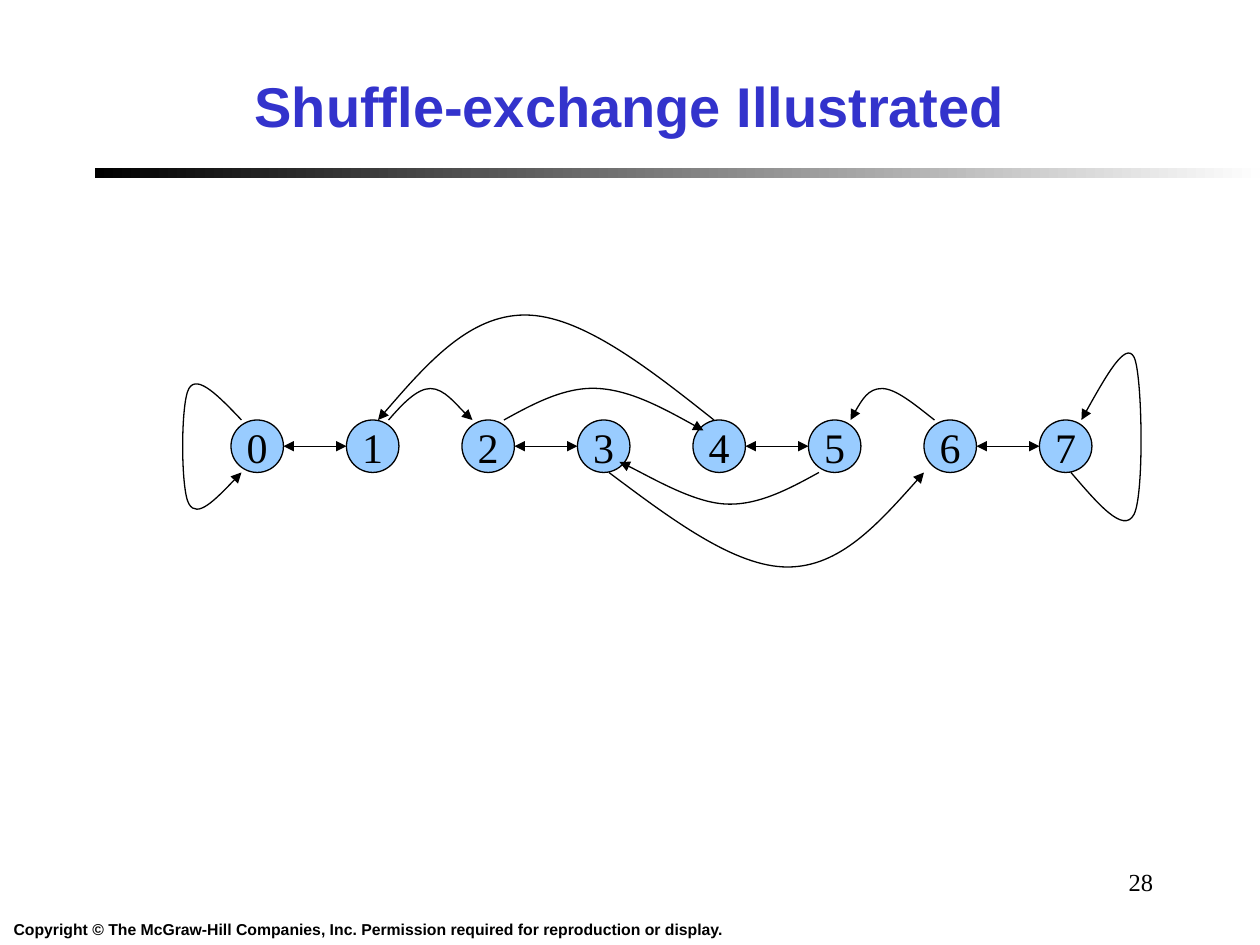
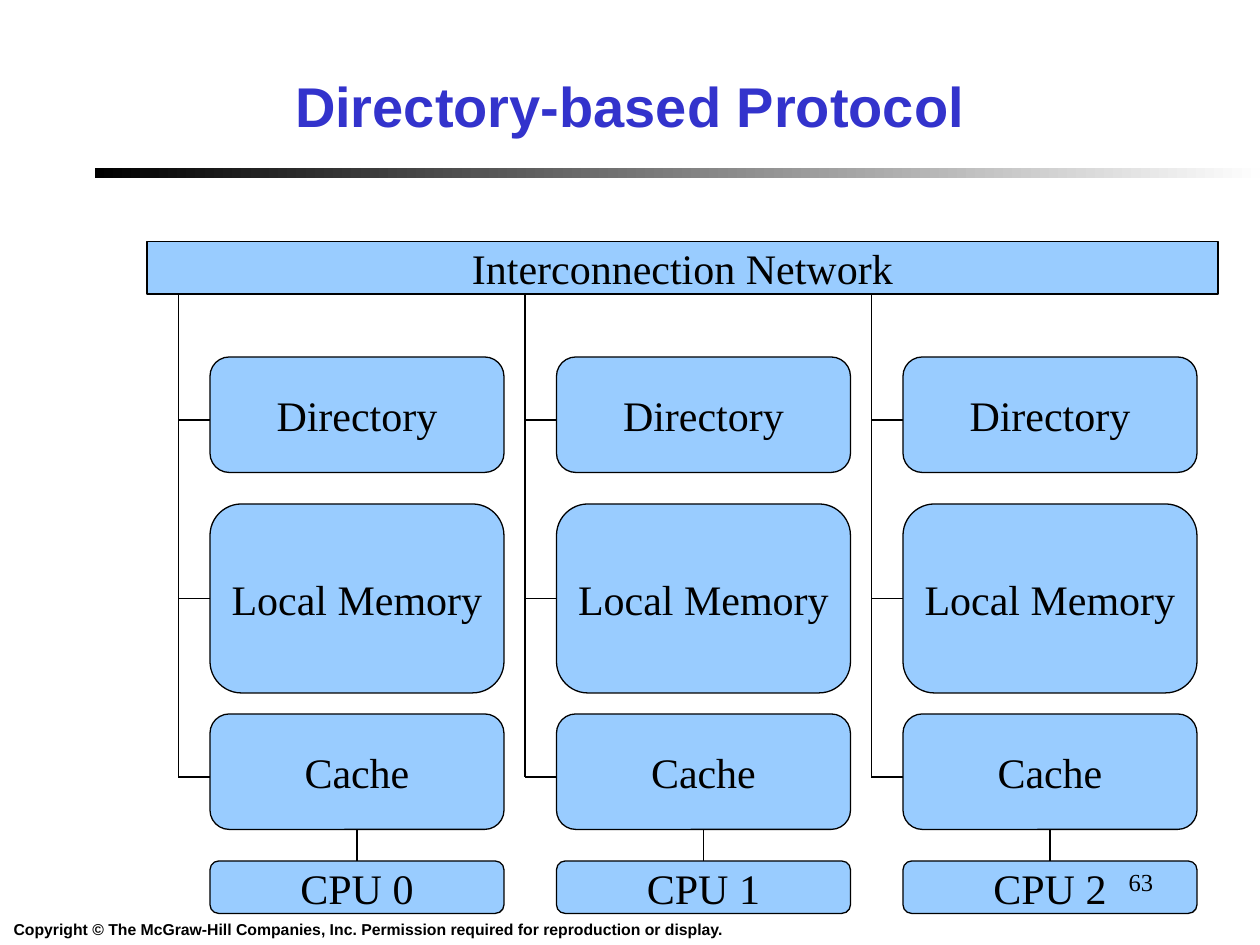
from dataclasses import dataclass

from lxml import etree
from pptx import Presentation
from pptx.dml.color import RGBColor
from pptx.enum.shapes import MSO_CONNECTOR, MSO_SHAPE
from pptx.enum.text import MSO_ANCHOR, PP_ALIGN
from pptx.oxml.ns import qn
from pptx.presentation import Presentation as Deck
from pptx.shapes.base import BaseShape
from pptx.slide import Slide
from pptx.util import Emu, Pt

PX = 7620
BLANK_LAYOUT = 6

STRAIGHT = MSO_CONNECTOR.STRAIGHT
RECTANGLE = MSO_SHAPE.RECTANGLE
ROUNDED = MSO_SHAPE.ROUNDED_RECTANGLE
OVAL = MSO_SHAPE.OVAL
TOP = MSO_ANCHOR.TOP
MIDDLE = MSO_ANCHOR.MIDDLE
CENTER = PP_ALIGN.CENTER
RIGHT = PP_ALIGN.RIGHT

SANS = "Arial"
SERIF = "Times New Roman"
BLACK = "000000"
NEAR_WHITE = "FEFEFE"
TITLE_BLUE = "3333CC"
NODE_BLUE = "99CCFF"
LINE_WIDTH = Pt(0.75)

COPYRIGHT = (
    "Copyright © The McGraw-Hill Companies, Inc. "
    "Permission required for reproduction or display."
)

Point = tuple[int, int]


@dataclass(frozen=True)
class Area:
    left: int
    top: int
    width: int
    height: int

    def emu(self) -> tuple[Emu, Emu, Emu, Emu]:
        return px(self.left), px(self.top), px(self.width), px(self.height)


@dataclass(frozen=True)
class Curve:
    start: Point
    controls: list[Point]


@dataclass(frozen=True)
class Unit:
    label: str
    top: int
    height: int


TITLE_AREA = Area(90, 40, 1020, 120)
RULE_AREA = Area(90, 160, 1110, 10)
COPYRIGHT_AREA = Area(0, 870, 701, 30)
NUMBER_AREA = Area(860, 820, 250, 60)

NODE_COUNT = 8
NODE_LEFT, NODE_TOP, NODE_SIZE, NODE_STEP = 220, 400, 50, 110

SHUFFLES = [
    Curve((370, 400), [(383, 385), (397, 370), (410, 370),
                       (423, 370), (443, 395), (450, 400)]),
    Curve((480, 400), [(509, 384), (539, 368), (570, 370),
                       (601, 372), (636, 391), (670, 410)]),
    Curve((680, 400), [(617, 350), (553, 300), (500, 300),
                       (447, 300), (403, 350), (360, 400)]),
    Curve((780, 450), [(751, 466), (721, 482), (690, 480),
                       (659, 478), (607, 447), (590, 440)]),
    Curve((580, 450), [(640, 495), (700, 540), (750, 540),
                       (800, 540), (840, 495), (880, 450)]),
    Curve((890, 400), [(871, 385), (853, 370), (840, 370),
                       (827, 370), (818, 385), (810, 400)]),
    Curve((230, 400), [(209, 378), (188, 356), (180, 370),
                       (172, 383), (172, 467), (180, 480),
                       (188, 494), (209, 472), (230, 450)]),
    Curve((1020, 450), [(1045, 479), (1070, 509), (1080, 490),
                        (1090, 471), (1088, 355), (1080, 340),
                        (1072, 325), (1051, 362), (1030, 400)]),
]

NETWORK_AREA = Area(140, 230, 1020, 50)
CPU_COUNT = 3
COLUMN_LEFT, COLUMN_WIDTH, COLUMN_STEP = 200, 280, 330
BUS_OFFSET = 30
BUS_UNITS = [
    Unit("Directory", 340, 110),
    Unit("Local Memory", 480, 180),
    Unit("Cache", 680, 110),
]
STUB_TOPS = range(400, 741, 170)
CPU_TOP, CPU_HEIGHT = 820, 50


def px(length: int) -> Emu:
    return Emu(length * PX)


def color(value: str) -> RGBColor:
    return RGBColor.from_string(value)


def write(
    shape: BaseShape,
    text: str,
    *,
    size: int,
    font: str = SERIF,
    ink: str = BLACK,
    bold: bool = False,
    align: PP_ALIGN = CENTER,
    anchor: MSO_ANCHOR = MIDDLE,
    wrap: bool = False,
) -> None:
    frame = shape.text_frame
    frame.word_wrap = wrap
    frame.vertical_anchor = anchor
    para = frame.paragraphs[0]
    para.alignment = align
    span = para.add_run()
    span.text = text
    span.font.name = font
    span.font.size = Pt(size)
    span.font.bold = bold
    span.font.color.rgb = color(ink)


def outline(shape: BaseShape) -> None:
    shape.line.color.rgb = color(BLACK)
    shape.line.width = LINE_WIDTH


def add_arrowheads(shape: BaseShape, *ends: str) -> None:
    line = shape.element.spPr.find(qn("a:ln"))
    for end in ends:
        etree.SubElement(line, qn(f"a:{end}"), type="triangle")


def add_text(page: Slide, area: Area, text: str, **style) -> None:
    box = page.shapes.add_textbox(*area.emu())
    write(box, text, **style)


def add_node(page: Slide, kind: MSO_SHAPE, area: Area, label: str) -> None:
    node = page.shapes.add_shape(kind, *area.emu())
    node.shadow.inherit = False
    node.fill.solid()
    node.fill.fore_color.rgb = color(NODE_BLUE)
    outline(node)
    write(node, label, size=24)


def add_line(page: Slide, start: Point, end: Point, *heads: str) -> None:
    line = page.shapes.add_connector(STRAIGHT, *map(px, start + end))
    outline(line)
    add_arrowheads(line, *heads)
    etree.SubElement(line.element.spPr, qn("a:effectLst"))


def add_curve(page: Slide, curve: Curve) -> None:
    builder = page.shapes.build_freeform(*curve.start, scale=float(PX))
    builder.add_line_segments(curve.controls, close=False)
    shape = builder.convert_to_shape()
    shape.shadow.inherit = False
    shape.fill.background()
    outline(shape)
    add_arrowheads(shape, "tailEnd")
    segments = list(shape.element.iter(qn("a:lnTo")))
    for first in range(0, len(segments), 3):
        triple = segments[first:first + 3]
        bend = etree.SubElement(triple[0].getparent(), qn("a:cubicBezTo"))
        for segment in triple:
            bend.append(segment[0])
            segment.getparent().remove(segment)


def add_page(deck: Deck, title: str) -> Slide:
    page = deck.slides.add_slide(deck.slide_layouts[BLANK_LAYOUT])
    rule = page.shapes.add_shape(RECTANGLE, *RULE_AREA.emu())
    rule.shadow.inherit = False
    rule.line.fill.background()
    rule.fill.gradient()
    rule.fill.gradient_angle = 180
    for stop, shade in zip(rule.fill.gradient_stops, (NEAR_WHITE, BLACK)):
        stop.color.rgb = color(shade)
    add_text(page, COPYRIGHT_AREA, COPYRIGHT,
             size=9, font=SANS, bold=True, anchor=TOP)
    add_text(page, TITLE_AREA, title,
             size=32, font=SANS, ink=TITLE_BLUE, bold=True, wrap=True)
    return page


def add_number(page: Slide, number: int) -> None:
    add_text(page, NUMBER_AREA, str(number),
             size=14, align=RIGHT, anchor=TOP, wrap=True)


def build_shuffle_page(deck: Deck) -> None:
    page = add_page(deck, "Shuffle-exchange Illustrated")
    lefts = [NODE_LEFT + NODE_STEP * index for index in range(NODE_COUNT)]
    for index, left in enumerate(lefts):
        add_node(page, OVAL, Area(left, NODE_TOP, NODE_SIZE, NODE_SIZE), str(index))
    middle = NODE_TOP + NODE_SIZE // 2
    for left, right in zip(lefts[::2], lefts[1::2]):
        add_line(page, (left + NODE_SIZE, middle), (right, middle),
                 "headEnd", "tailEnd")
    for curve in SHUFFLES:
        add_curve(page, curve)
    add_number(page, 28)


def add_processor(page: Slide, index: int) -> None:
    left = COLUMN_LEFT + COLUMN_STEP * index
    bus = left - BUS_OFFSET
    center = left + COLUMN_WIDTH // 2
    cache = BUS_UNITS[-1]
    for unit in [*BUS_UNITS, Unit(f"CPU {index}", CPU_TOP, CPU_HEIGHT)]:
        add_node(page, ROUNDED,
                 Area(left, unit.top, COLUMN_WIDTH, unit.height), unit.label)
    network_bottom = NETWORK_AREA.top + NETWORK_AREA.height
    add_line(page, (bus, network_bottom), (bus, STUB_TOPS[-1]))
    for top in STUB_TOPS:
        add_line(page, (bus, top), (left, top))
    add_line(page, (center, cache.top + cache.height), (center, CPU_TOP))


def build_directory_page(deck: Deck) -> None:
    page = add_page(deck, "Directory-based Protocol")
    add_node(page, RECTANGLE, NETWORK_AREA, "Interconnection Network")
    for index in range(CPU_COUNT):
        add_processor(page, index)
    add_number(page, 63)


def main() -> None:
    deck = Presentation()
    deck.slide_width = px(1200)
    deck.slide_height = px(900)
    build_shuffle_page(deck)
    build_directory_page(deck)
    deck.save("out.pptx")


if __name__ == "__main__":
    main()
